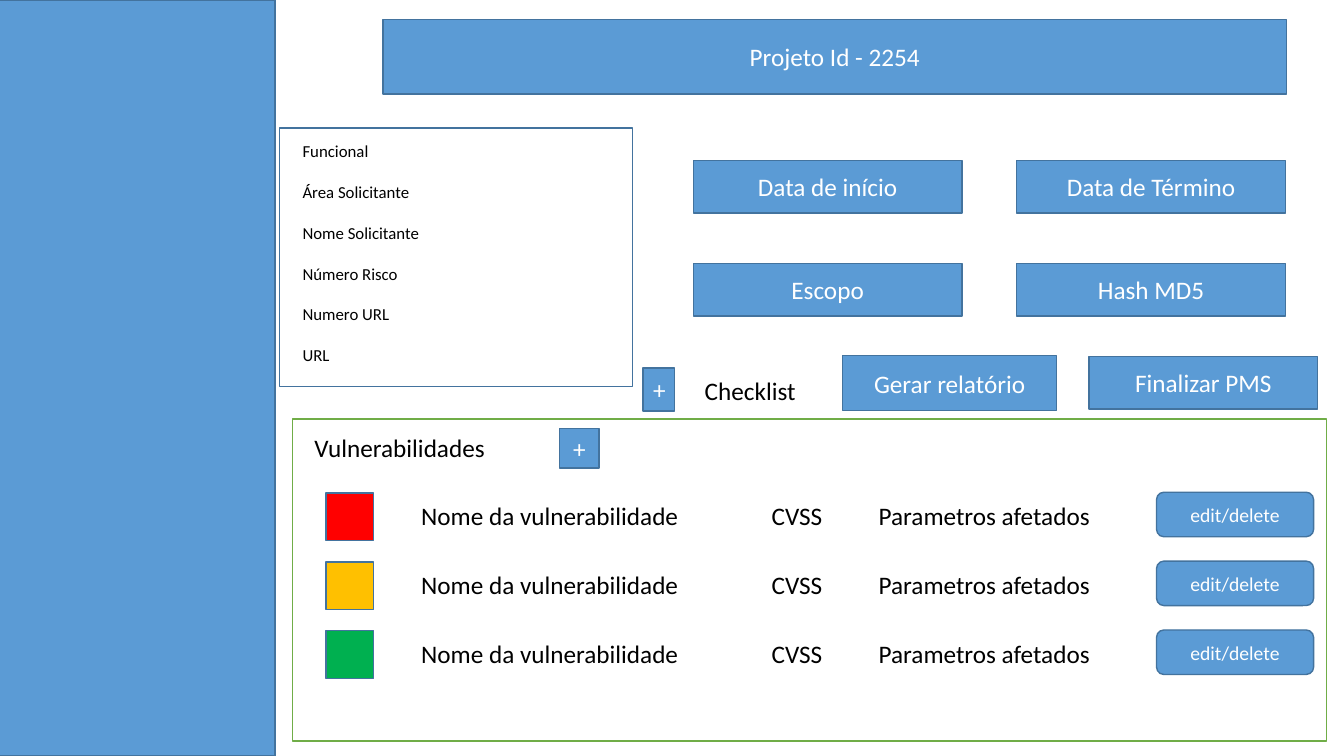
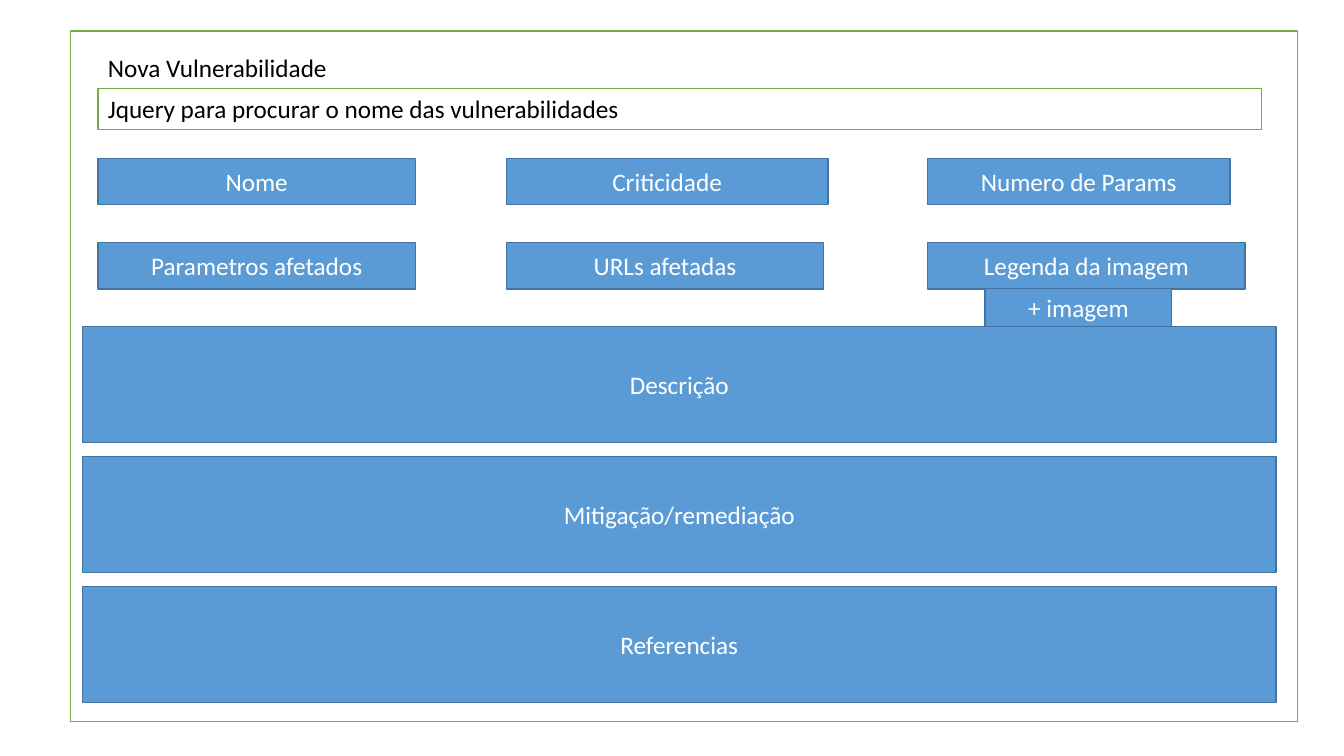
from collections import namedtuple

from lxml.etree import SubElement
from pptx import Presentation
from pptx.dml.color import RGBColor
from pptx.enum.shapes import MSO_SHAPE
from pptx.enum.text import MSO_ANCHOR, MSO_AUTO_SIZE, PP_ALIGN
from pptx.oxml.ns import qn
from pptx.util import Inches, Pt

COLORS = {
    "blue": "5B9BD5", "blue_edge": "43739E", "green_edge": "70AD47",
    "white": "FFFFFF", "black": "000000",
    "high": "FF0000", "medium": "FFC000", "low": "00B050",
}
FONT = "Calibri"
TITLE_LAYOUT, LIST_LAYOUT = 5, 1

# Shared grid: 160 columns by 90 rows of square units
COLUMNS, ROWS = 160, 90
prs = Presentation()
prs.slide_width, prs.slide_height = Inches(13.33), Inches(7.5)
UNIT = prs.slide_height / ROWS
LABEL_HEIGHT = 4.85


class Box(namedtuple("Box", "left top width height")):
    def inner(self, left, top, width, height):
        """A box placed relative to this one."""
        return Box(self.left + left, self.top + top, width, height)

    def emu(self):
        return [round(length * UNIT) for length in self]


PAGE = Box(0, 0, COLUMNS, ROWS)


def rgb(name):
    return RGBColor.from_string(COLORS[name])


# Shared styles
def paint(shape, fill, edge):
    shape.fill.solid()
    shape.fill.fore_color.rgb = rgb(fill)
    shape.line.color.rgb = rgb(edge)
    shape.line.width = Pt(1)


def write(shape, text, size=18, color="black", align=PP_ALIGN.LEFT,
          anchor=MSO_ANCHOR.TOP, fit=MSO_AUTO_SIZE.NONE):
    frame = shape.text_frame
    frame.text = text
    frame.word_wrap = True
    frame.auto_size = fit
    frame.vertical_anchor = anchor
    for paragraph in frame.paragraphs:
        paragraph.alignment = align
        for run in paragraph.runs:
            run.font.name, run.font.size = FONT, Pt(size)
            run.font.color.rgb = rgb(color)


def write_centred(shape, text, size=18):
    write(shape, text, size, "white", PP_ALIGN.CENTER, MSO_ANCHOR.MIDDLE)


def place(placeholder, box):
    (placeholder.left, placeholder.top,
     placeholder.width, placeholder.height) = box.emu()


def add_panel(slide, box, fill="white", edge="green_edge",
              outline=MSO_SHAPE.RECTANGLE):
    panel = slide.shapes.add_shape(outline, *box.emu())
    panel.shadow.inherit = False
    paint(panel, fill, edge)
    return panel


def add_button(slide, box, text, size=18, outline=MSO_SHAPE.RECTANGLE):
    button = add_panel(slide, box, "blue", "blue_edge", outline)
    write_centred(button, text, size)


def add_label(slide, box, text):
    label = slide.shapes.add_textbox(*box.emu())
    write(label, text, fit=MSO_AUTO_SIZE.SHAPE_TO_FIT_TEXT)


# Project page regions
def project_title(slide, box):
    title = slide.shapes.title
    place(title, box)
    paint(title, "blue", "blue_edge")
    write_centred(title, "Projeto Id - 2254")


def requester_list(slide, box):
    requester = slide.placeholders[1]
    place(requester, box)
    paint(requester, "white", "blue_edge")
    write(requester, "\n".join((
        "Funcional", "Área Solicitante", "Nome Solicitante",
        "Número Risco", "Numero URL", "URL")), size=12)
    requester.text_frame.margin_left = Inches(0.23)
    requester.text_frame.margin_top = Inches(0.13)
    for entry in requester.text_frame.paragraphs:
        entry.space_before, entry.space_after = Pt(0), Pt(14.65)
        properties = entry._p.get_or_add_pPr()
        properties.set("marL", "0")
        properties.set("indent", "0")
        SubElement(properties, qn("a:buNone"))


def project_details(slide, box):
    details = ("Data de início", "Data de Término", "Escopo", "Hash MD5")
    width, height = 32, 6.25
    for index, detail in enumerate(details):
        row, column = divmod(index, 2)
        add_button(slide, box.inner(column * (box.width - width),
                                    row * (box.height - height),
                                    width, height), detail)


def project_actions(slide, box):
    add_button(slide, box.inner(0, 1.45, 3.7, 5.15), "+")
    add_label(slide, box.inner(6.15, 1.7, 16.8, LABEL_HEIGHT), "Checklist")
    add_button(slide, box.inner(23.75, 0, 25.45, 6.5), "Gerar relatório")
    add_button(slide, box.inner(53.05, 0.1, 27.25, 6.25), "Finalizar PMS")


def vulnerability_row(slide, box, severity):
    add_panel(slide, box.inner(4, -0.3, 5.65, 5.65), severity, "blue_edge")
    for left, width, text in ((14.15, 47.5, "Nome da vulnerabilidade"),
                              (55.85, 13.1, "CVSS"),
                              (68.6, 36.6, "Parametros afetados")):
        add_label(slide, box.inner(left, 0, width, LABEL_HEIGHT), text)
    add_button(slide, box.inner(102.85, -0.4, 18.7, 5.3), "edit/delete", 14,
               MSO_SHAPE.ROUNDED_RECTANGLE)


def vulnerability_panel(slide, box):
    add_panel(slide, box)
    add_label(slide, box.inner(1.45, 0.95, 59.3, LABEL_HEIGHT),
              "Vulnerabilidades")
    add_button(slide, box.inner(31.8, 1.1, 4.7, 4.7), "+")
    pitch = 8.2
    for row, severity in enumerate(("high", "medium", "low")):
        vulnerability_row(
            slide, box.inner(0, 9.1 + row * pitch, box.width, pitch), severity)


def project_slide():
    slide = prs.slides.add_slide(prs.slide_layouts[LIST_LAYOUT])
    project_title(slide, PAGE.inner(45.6, 2.3, 107.5, 8.9))
    add_panel(slide, PAGE.inner(-0.5, 0, 33.25, ROWS), "blue", "blue_edge")
    requester_list(slide, PAGE.inner(33.25, 15.25, 42, 30.75))
    project_details(slide, PAGE.inner(82.5, 19.1, 70.5, 18.5))
    vulnerability_panel(slide, PAGE.inner(34.8, 49.9, 123.1, 38.3))
    project_actions(slide, PAGE.inner(76.55, 42.35, 80.3, 6.6))


# Vulnerability form regions
def form_header(slide, box):
    title = slide.shapes.title
    place(title, box.inner(0, 0, 46, LABEL_HEIGHT))
    write(title, "Nova Vulnerabilidade")
    slide.shapes.element.append(title.element)  # in front of the frame
    search = add_panel(slide, box.inner(0, 4.9, box.width, LABEL_HEIGHT))
    write(search, "Jquery para procurar o nome das vulnerabilidades")


def form_fields(slide, box):
    lefts, height = (0, 48.6, 98.75), 5.5
    rows = (
        (("Nome", 37.8), ("Criticidade", 38.3), ("Numero de Params", 36)),
        (("Parametros afetados", 37.8), ("URLs afetadas", 37.8),
         ("Legenda da imagem", 37.8)),
    )
    for row, fields in enumerate(rows):
        for left, (field, width) in zip(lefts, fields):
            add_button(slide, box.inner(left, row * 10.05, width, height),
                       field)
    add_button(slide, box.inner(105.6, box.height, 22.2, 4.5), "+ imagem")


def form_sections(slide, box):
    sections = ("Descrição", "Mitigação/remediação", "Referencias")
    height = 13.8
    pitch = (box.height - height) / (len(sections) - 1)
    for index, section in enumerate(sections):
        add_button(slide, box.inner(0, index * pitch, box.width, height),
                   section)


def vulnerability_form_slide():
    slide = prs.slides.add_slide(prs.slide_layouts[TITLE_LAYOUT])
    form = PAGE.inner(8.4, 3.7, 146, 82.2)
    add_panel(slide, form)
    form_header(slide, form.inner(3.25, 1.95, 138.5, 9.75))
    form_fields(slide, form.inner(3.25, 15.15, 136.55, 15.5))
    form_sections(slide, form.inner(1.45, 35.15, 142, 44.8))


project_slide()
vulnerability_form_slide()
prs.save("out.pptx")
